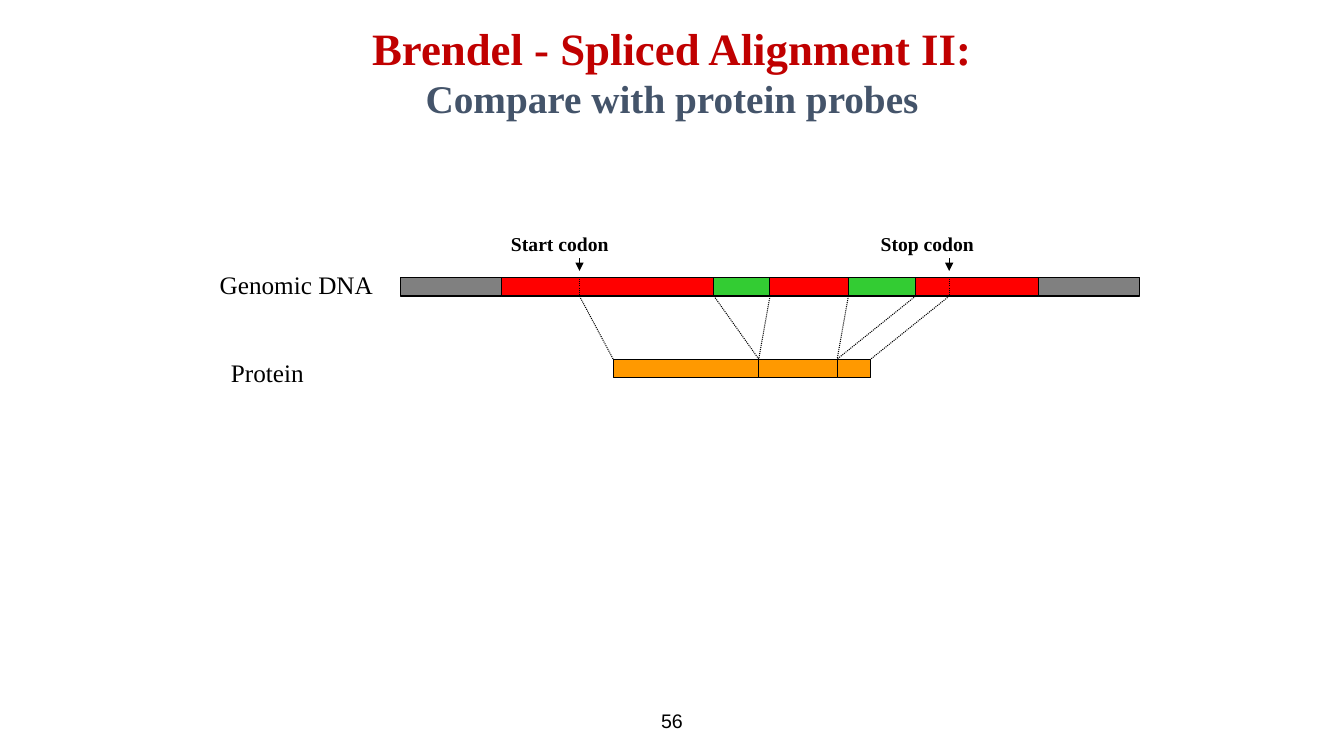
from dataclasses import dataclass

from lxml import etree
from pptx import Presentation
from pptx.dml.color import RGBColor
from pptx.enum.dml import MSO_LINE
from pptx.enum.shapes import MSO_CONNECTOR, MSO_SHAPE
from pptx.enum.text import MSO_ANCHOR, PP_ALIGN
from pptx.oxml.ns import qn
from pptx.util import Inches, Pt

RECTANGLE = MSO_SHAPE.RECTANGLE
STRAIGHT = MSO_CONNECTOR.STRAIGHT
DOTTED = MSO_LINE.ROUND_DOT
LEFT, CENTER = PP_ALIGN.LEFT, PP_ALIGN.CENTER
TOP, MIDDLE = MSO_ANCHOR.TOP, MSO_ANCHOR.MIDDLE

COLORS = {
    "title": "C00000", "subtitle": "44546A", "ink": "000000",
    "exon": "FF0000", "intron": "33CC33", "flank": "808080", "protein": "FF9900",
}
SERIF, SANS = "Times New Roman", "Arial"
SLIDE_W, SLIDE_H = 13.33, 7.5

# Diagram grid: columns count from the left end of the DNA, rows from the slide top
ORIGIN_X, COL, ROW = 3.97, 1 / 9, 1 / 16
DNA_ROW, PROTEIN_ROW, BAR_ROWS = 44, 57, 3
START_COL, STOP_COL = 16, 49


@dataclass(frozen=True)
class Segment:
    first: int
    last: int
    row: int
    color: str


@dataclass(frozen=True)
class Label:
    text: str
    col: int
    row: int
    cols: int
    rows: float
    size: int
    bold: bool = False


@dataclass(frozen=True)
class Line:
    text: str
    size: int
    color: str = "ink"
    bold: bool = False


SEGMENTS = [
    Segment(0, 9, DNA_ROW, "flank"),
    Segment(9, 28, DNA_ROW, "exon"),
    Segment(28, 33, DNA_ROW, "intron"),
    Segment(33, 40, DNA_ROW, "exon"),
    Segment(40, 46, DNA_ROW, "intron"),
    Segment(46, 57, DNA_ROW, "exon"),
    Segment(57, 66, DNA_ROW, "flank"),
    Segment(19, 32, PROTEIN_ROW, "protein"),
    Segment(32, 39, PROTEIN_ROW, "protein"),
    Segment(39, 42, PROTEIN_ROW, "protein"),
]
LABELS = [
    Label("Genomic DNA", -17, 42, 17, 6.4, 18),
    Label("Protein", -16, 56, 17, 6.4, 18),
    Label("Start codon", 9, 36, 16, 5.3, 14, bold=True),
    Label("Stop codon", 42, 36, 16, 5.3, 14, bold=True),
]
# DNA column matched with its protein column
MATCHES = [(START_COL, 19), (28, 32), (33, 32), (40, 39), (46, 39), (STOP_COL, 42)]


def rgb(name: str) -> RGBColor:
    return RGBColor.from_string(COLORS[name])


def grid_x(col: float) -> int:
    return Inches(ORIGIN_X + col * COL)


def grid_y(row: float) -> int:
    return Inches(row * ROW)


def add_text(slide, lines: list[Line], left: int, top: int, width: int, height: int, *,
             font: str = SERIF, align=LEFT, anchor=TOP) -> None:
    frame = slide.shapes.add_textbox(left, top, width, height).text_frame
    frame.word_wrap = True
    frame.vertical_anchor = anchor
    for index, line in enumerate(lines):
        paragraph = frame.add_paragraph() if index else frame.paragraphs[0]
        paragraph.alignment = align
        run = paragraph.add_run()
        run.text = line.text
        run.font.name = font
        run.font.size = Pt(line.size)
        run.font.bold = line.bold
        run.font.color.rgb = rgb(line.color)


def add_centered(slide, lines: list[Line], top: float, width: float, height: float,
                 font: str) -> None:
    """Centre lines on the slide; lengths are shares of its size."""
    add_text(slide, lines, Inches((1 - width) / 2 * SLIDE_W), Inches(top * SLIDE_H),
             Inches(width * SLIDE_W), Inches(height * SLIDE_H),
             font=font, align=CENTER, anchor=MIDDLE)


def add_segment(slide, segment: Segment) -> None:
    left, top = grid_x(segment.first), grid_y(segment.row)
    bar = slide.shapes.add_shape(RECTANGLE, left, top, grid_x(segment.last) - left,
                                 grid_y(segment.row + BAR_ROWS) - top)
    bar.shadow.inherit = False
    bar.fill.solid()
    bar.fill.fore_color.rgb = rgb(segment.color)
    bar.line.color.rgb = rgb("ink")
    bar.line.width = Pt(0.75)


def add_line(slide, start: tuple[int, int], end: tuple[int, int], arrow: bool = False) -> None:
    """Join two grid points with an arrow or a dotted line."""
    link = slide.shapes.add_connector(STRAIGHT, grid_x(start[0]), grid_y(start[1]),
                                      grid_x(end[0]), grid_y(end[1]))
    link.line.color.rgb = rgb("ink")
    link.line.width = Pt(0.75)
    if arrow:
        etree.SubElement(link.line._get_or_add_ln(), qn("a:tailEnd"), type="triangle")
    else:
        link.line.dash_style = DOTTED
    etree.SubElement(link._element.spPr, qn("a:effectLst"))


def main() -> None:
    deck = Presentation()
    deck.slide_width, deck.slide_height = Inches(SLIDE_W), Inches(SLIDE_H)
    slide = deck.slides.add_slide(deck.slide_layouts[6])

    # Title and page number
    add_centered(slide, [Line("Brendel - Spliced Alignment II:", 32, "title", True),
                         Line("Compare with protein probes", 28, "subtitle", True)],
                 0.01, 0.64, 0.167, SERIF)
    add_centered(slide, [Line("56", 14)], 0.927, 0.34, 0.053, SANS)

    # DNA and protein bars with their labels
    for segment in SEGMENTS:
        add_segment(slide, segment)
    for label in LABELS:
        add_text(slide, [Line(label.text, label.size, bold=label.bold)],
                 grid_x(label.col), grid_y(label.row),
                 Inches(label.cols * COL), Inches(label.rows * ROW))

    # Codon arrows and their marks across the DNA
    dna_bottom = DNA_ROW + BAR_ROWS
    for codon in (START_COL, STOP_COL):
        add_line(slide, (codon, DNA_ROW - 3), (codon, DNA_ROW - 1), arrow=True)
        add_line(slide, (codon, DNA_ROW), (codon, dna_bottom))

    # Alignment of exons with the protein
    for dna_col, protein_col in MATCHES:
        add_line(slide, (dna_col, dna_bottom), (protein_col, PROTEIN_ROW))

    deck.save("out.pptx")


if __name__ == "__main__":
    main()
